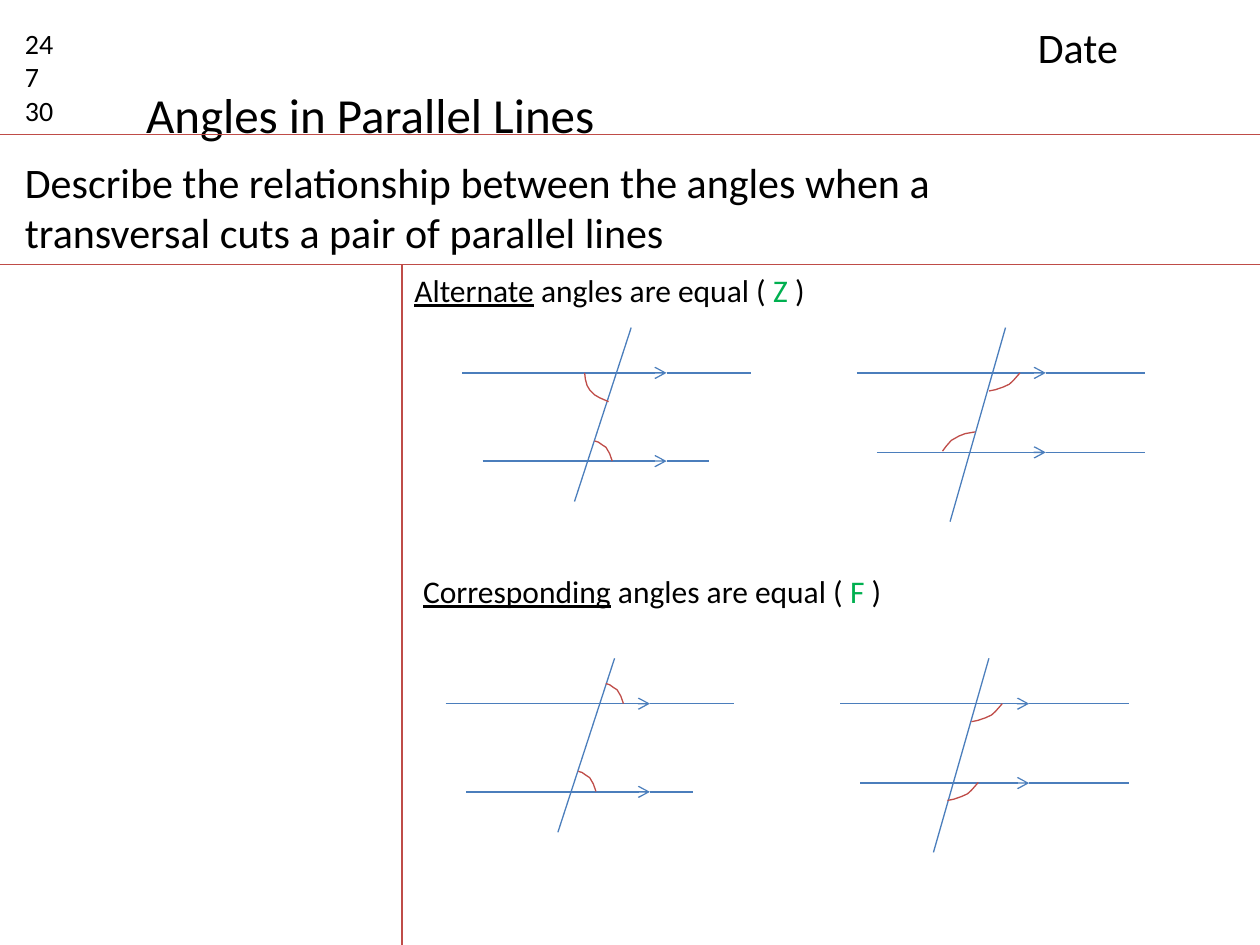
import pptx
import pptx.util
import pptx.dml.color
import pptx.enum.shapes
import pptx.enum.text
import pptx.oxml
import pptx.oxml.ns

Pt = pptx.util.Pt
theme = {
    "font": "Calibri",
    "ink": "000000", "accent": "00B050", "rule": "BF4C48", "line": "4B7EBC",
    "title": 28, "lead": 24, "rule_text": 18, "numbers": 16,
    "weight": 0.75,
}


def draw_line(start, end, color, arrow=False):
    line = page.shapes.add_connector(
        pptx.enum.shapes.MSO_CONNECTOR.STRAIGHT, *[Pt(value) for value in (*start, *end)])
    line.line.color.rgb = pptx.dml.color.RGBColor.from_string(theme[color])
    line.line.width = Pt(theme["weight"])
    if arrow:
        tail = pptx.oxml.parse_xml('<a:tailEnd %s type="arrow"/>' % pptx.oxml.ns.nsdecls("a"))
        line.line._get_or_add_ln().append(tail)
    line._element.spPr.append(
        pptx.oxml.parse_xml("<a:effectLst %s/>" % pptx.oxml.ns.nsdecls("a")))


def write_text(box, bounds, size, paragraphs, wrap=True):
    for name, value in zip(("left", "top", "width", "height"), bounds):
        setattr(box, name, Pt(value))
    frame_format = {
        "word_wrap": wrap,
        "auto_size": pptx.enum.text.MSO_AUTO_SIZE.NONE,
        "vertical_anchor": pptx.enum.text.MSO_ANCHOR.TOP,
    }
    for name, value in frame_format.items():
        setattr(box.text_frame, name, value)
    for index, spans in enumerate(paragraphs):
        para = box.text_frame.add_paragraph() if index else box.text_frame.paragraphs[0]
        para.alignment = pptx.enum.text.PP_ALIGN.LEFT
        for text, color, underline in spans:
            span = para.add_run()
            span.text = text
            span_format = {"name": theme["font"], "size": Pt(theme[size]), "underline": underline}
            for name, value in span_format.items():
                setattr(span.font, name, value)
            span.font.color.rgb = pptx.dml.color.RGBColor.from_string(theme[color])


deck = pptx.Presentation()
deck.slide_width, deck.slide_height = Pt(720), Pt(540)
page = deck.slides.add_slide(deck.slide_layouts[5])

for start, end in [((0, 77), (720, 77)), ((0, 151.2), (720, 151.2)), ((229.7, 151.2), (229.7, 540))]:
    draw_line(start, end, "rule")

write_text(page.shapes.title, (76.3, 44.6, 273.6, 41), "title",
           [[("Angles in Parallel Lines", "ink", False)]], wrap=False)

texts = [
    ((7.2, 11.5, 45.4, 65.5), "numbers", ["24", "7", "30"]),
    ((586, 8.6, 124.6, 36), "lead", ["Date"]),
    ((7.2, 85.7, 640.8, 65.5), "lead",
     ["Describe the relationship between the angles when a transversal cuts a pair of parallel lines"]),
]
for bounds, size, lines in texts:
    write_text(page.shapes.add_textbox(0, 0, 0, 0), bounds, size,
               [[(text, "ink", False)] for text in lines])

angle_rules = [
    ((229.7, 151.2, 243.4, 28.8), "Alternate", " angles are equal (", " Z ", ")"),
    ((234.7, 323.3, 280, 28.8), "Corresponding", " angles are equal ( ", "F", " )"),
]
for bounds, name, middle, letter, close in angle_rules:
    write_text(page.shapes.add_textbox(0, 0, 0, 0), bounds, "rule_text",
               [[(name, "ink", True), (middle, "ink", False),
                 (letter, "accent", False), (close, "ink", False)]], wrap=False)

parallels = [
    (264.2, 380.9, 429.1, 213.1),
    (275.8, 380.9, 405.4, 263.5),
    (489.6, 597.6, 654.5, 213.1),
    (501.1, 597.6, 654.5, 258.5),
]
transversals = [((574.6, 187.2), (542.9, 298.1)), ((360.7, 187.2), (328.3, 286.6))]
for shift_x, shift_y in [(0, 0), (-9.5, 189)]:
    for left, arrow_tip, right, y in parallels:
        left, arrow_tip, right, y = left + shift_x, arrow_tip + shift_x, right + shift_x, y + shift_y
        draw_line((left, y), (arrow_tip, y), "line", arrow=True)
        draw_line((arrow_tip, y), (right, y), "line")
    for start, end in transversals:
        draw_line((start[0] + shift_x, start[1] + shift_y),
                  (end[0] + shift_x, end[1] + shift_y), "line")

arc_steps = {
    "upper_right": [(2.2, 0.7), (4.3, 2.2), (6.5, 3.6), (8.6, 7.2), (10.1, 11.5)],
    "lower_left": [(0.4, 3.6), (1.4, 7.2), (2.9, 9.7), (5.8, 12.6), (8.6, 14.2), (13.7, 16.4)],
    "upper_left": [(2.2, -2.9), (5, -6.1), (9.4, -8.6), (13, -10), (18.7, -11)],
    "lower_right": [(3.6, -0.7), (8, -2.2), (11.5, -3.8), (13.7, -5.8), (15.8, -8.2), (17.6, -10.3)],
}
arcs = [
    ("upper_right", 339.8, 252),
    ("lower_left", 334.1, 213.1),
    ("upper_left", 538.6, 257.8),
    ("lower_right", 565.2, 223.4),
    ("upper_right", 330.5, 440.8),
    ("lower_right", 555.1, 412.4),
    ("upper_right", 346.2, 390.6),
    ("lower_right", 541.4, 457.4),
]
for kind, x, y in arcs:
    builder = page.shapes.build_freeform(Pt(x), Pt(y))
    builder.add_line_segments([(Pt(x + dx), Pt(y + dy)) for dx, dy in arc_steps[kind]], close=False)
    arc = builder.convert_to_shape()
    arc.shadow.inherit = False
    arc.fill.background()
    arc.line.color.rgb = pptx.dml.color.RGBColor.from_string(theme["rule"])
    arc.line.width = Pt(theme["weight"])

deck.save("out.pptx")
